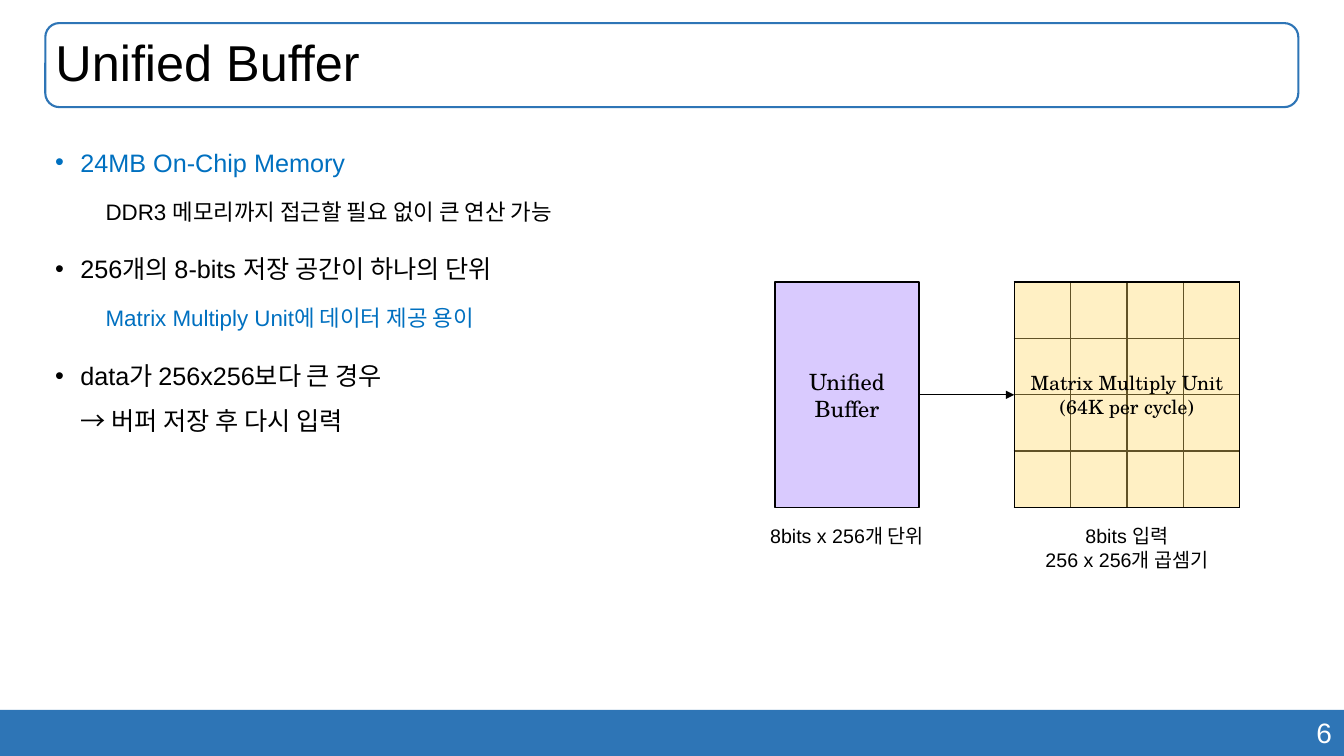
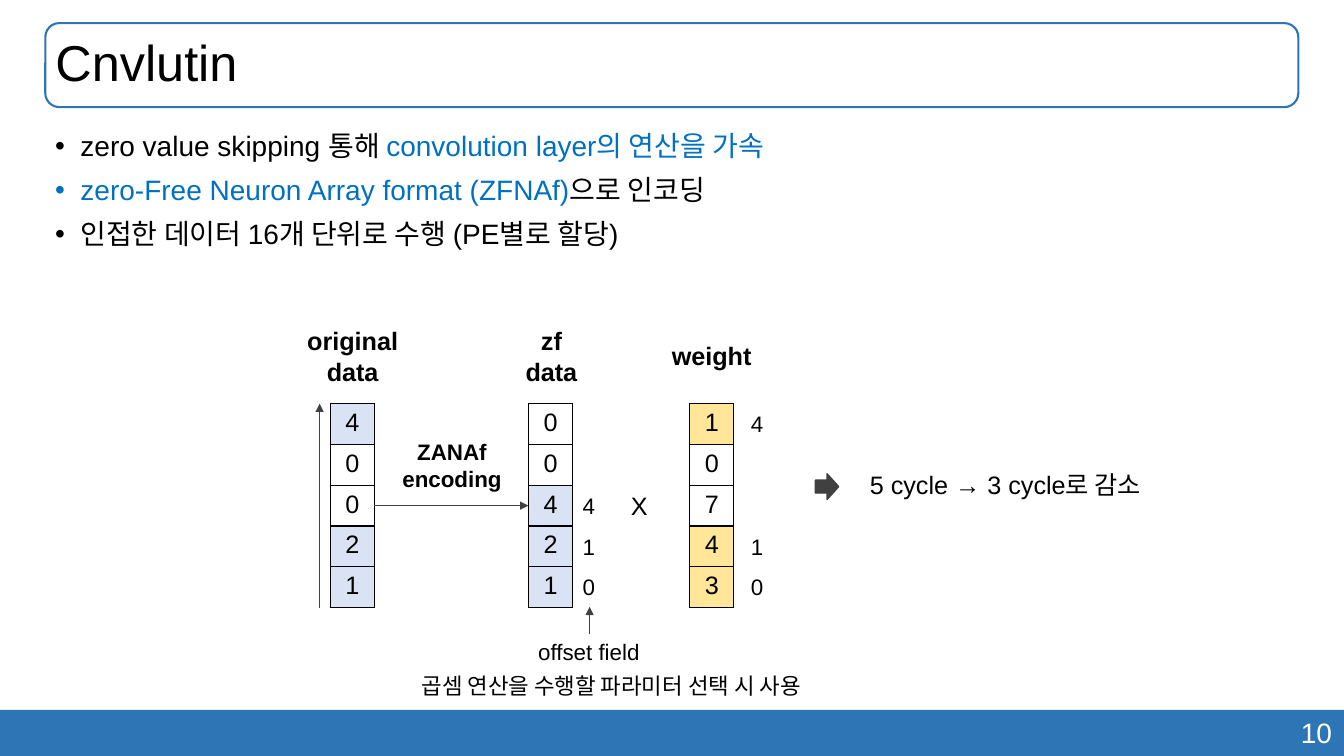
import pptx
import pptx.dml.color
import pptx.enum.shapes
import pptx.enum.text
import pptx.oxml.ns
import pptx.util
import lxml.etree

Pt = pptx.util.Pt
SHAPE = pptx.enum.shapes.MSO_SHAPE
ALIGN = pptx.enum.text.PP_ALIGN
ANCHOR = pptx.enum.text.MSO_ANCHOR
FIT = pptx.enum.text.MSO_AUTO_SIZE

BLUE, ACCENT, INK, WHITE, GRAY = "2E75B6", "0070C0", "000000", "FFFFFF", "404040"
LILAC, GOLD, PALE_BLUE, PALE_GOLD = "D9CAFE", "FFD966", "DAE3F3", "FFE699"
SANS, SERIF = "Arial", "TeX Gyre Schola"


def rgb(value):
    """Turn a hex string into a colour."""
    return pptx.dml.color.RGBColor.from_string(value)


def assign(target, values):
    """Set attributes from a dict."""
    for name, value in values.items():
        setattr(target, name, value)


def child(parent, tag, **attrs):
    """Append a DrawingML element."""
    return lxml.etree.SubElement(parent, pptx.oxml.ns.qn("a:" + tag), attrs)


class Deck:
    """Hold the style and the current slide."""

    def __init__(self):
        """Start a widescreen presentation."""
        self.prs = pptx.Presentation()
        assign(self.prs, {"slide_width": Pt(960), "slide_height": Pt(540)})
        self.s = None

    def slide(self, title, number):
        """Add a slide with its title, frame, band and number."""
        self.s = self.prs.slides.add_slide(self.prs.slide_layouts[5])
        self.shape(SHAPE.RECTANGLE, 0, 507, 960, 33, fill=BLUE)
        self.text(677.5, 507.5, 281, 32, number, 20, ALIGN.RIGHT, color=WHITE, wrap=True)
        frame = (32.4, 16.5, 895, 60)
        self.shape(SHAPE.ROUNDED_RECTANGLE, *frame, line=BLUE, weight=1.5)
        sp = self.s.shapes.title
        assign(sp, dict(zip(("left", "top", "width", "height"), map(Pt, frame))))
        assign(sp.text_frame, {"auto_size": FIT.NONE, "vertical_anchor": ANCHOR.MIDDLE})
        self.lines(sp.text_frame, title, 36, ALIGN.LEFT)
        sp.text_frame.paragraphs[0].line_spacing = 0.9

    def font(self, r, size, color=INK, bold=False, name=SANS):
        """Format one run."""
        assign(r.font, {"size": Pt(size), "bold": bold, "name": name})
        r.font.color.rgb = rgb(color)

    def lines(self, tf, text, size, align=ALIGN.CENTER, **style):
        """Fill a frame with one paragraph for each line of text."""
        for i, line in enumerate(text.split("\n")):
            p = tf.add_paragraph() if i else tf.paragraphs[0]
            p.alignment = align
            r = p.add_run()
            r.text = line
            self.font(r, size, **style)

    def text(self, x, y, w, h, text, size, align=ALIGN.LEFT, wrap=False, **style):
        """Add a text box."""
        tf = self.s.shapes.add_textbox(Pt(x), Pt(y), Pt(w), Pt(h)).text_frame
        assign(tf, {"word_wrap": wrap, "auto_size": FIT.SHAPE_TO_FIT_TEXT})
        self.lines(tf, text, size, align, **style)

    def body(self, spacing, items):
        """Add the list of (level, size, runs); level 1 has no bullet."""
        tf = self.s.shapes.add_textbox(Pt(32.4), Pt(90.7), Pt(895), Pt(398)).text_frame
        tf.word_wrap = True
        for i, (level, size, runs) in enumerate(items):
            p = tf.add_paragraph() if i else tf.paragraphs[0]
            before = (5 if level else 10) if i else 0
            assign(p, {"level": level, "line_spacing": spacing, "space_before": Pt(before)})
            pPr = p._p.get_or_add_pPr()
            pPr.set("marL", str(Pt(36 if level else 18)))
            pPr.set("indent", str(Pt(0 if level else -18)))
            if level:
                child(pPr, "buNone")
            else:
                child(pPr, "buFont", typeface=SANS)
                child(pPr, "buChar", char="•")
            for text, color in runs:
                for j, part in enumerate(text.split("\n")):
                    if j:
                        p.add_line_break()
                    r = p.add_run()
                    r.text = part
                    self.font(r, size, color)

    def shape(self, kind, x, y, w, h, fill=None, line=None, weight=1, alpha=None):
        """Add a preset shape."""
        sp = self.s.shapes.add_shape(kind, Pt(x), Pt(y), Pt(w), Pt(h))
        sp.shadow.inherit = False
        if fill:
            sp.fill.solid()
            sp.fill.fore_color.rgb = rgb(fill)
        else:
            sp.fill.background()
        if alpha:
            clr = sp._element.spPr.find(".//" + pptx.oxml.ns.qn("a:srgbClr"))
            child(clr, "alpha", val=str(alpha * 1000))
        if line:
            sp.line.color.rgb = rgb(line)
            sp.line.width = Pt(weight)
        else:
            sp.line.fill.background()
        return sp

    def box(self, x, y, w, h, text, size, **look):
        """Add an outlined rectangle with a serif label."""
        sp = self.shape(SHAPE.RECTANGLE, x, y, w, h, line=INK, **look)
        assign(sp.text_frame, {"vertical_anchor": ANCHOR.MIDDLE, "word_wrap": True})
        self.lines(sp.text_frame, text, size, name=SERIF)
        return sp

    def arrow(self, x1, y1, x2, y2, color=GRAY):
        """Add a thin line with an arrowhead at its end."""
        ends = map(Pt, (x1, y1, x2, y2))
        c = self.s.shapes.add_connector(pptx.enum.shapes.MSO_CONNECTOR.STRAIGHT, *ends)
        c.line.color.rgb = rgb(color)
        c.line.width = Pt(0.5)
        spPr = c._element.spPr
        child(spPr.find(pptx.oxml.ns.qn("a:ln")), "tailEnd", type="triangle")
        child(spPr, "effectLst")
        return c

    def table(self, x, y, cell_w, cell_h, rows, fill=None, filled=()):
        """Add a bordered grid and fill the listed rows."""
        size = (len(rows), len(rows[0]))
        area = map(Pt, (x, y, cell_w * size[1], cell_h * size[0]))
        t = self.s.shapes.add_table(*size, *area).table
        assign(t, {"first_row": False, "horz_banding": False})
        for i, row in enumerate(rows):
            for j, text in enumerate(row):
                cell = t.cell(i, j)
                tcPr = cell._tc.get_or_add_tcPr()
                for side in ("lnL", "lnR", "lnT", "lnB"):
                    ln = child(tcPr, side, w=str(Pt(1)))
                    child(child(ln, "solidFill"), "srgbClr", val=INK)
                if i in filled:
                    cell.fill.solid()
                    cell.fill.fore_color.rgb = rgb(fill)
                else:
                    cell.fill.background()
                if text:
                    self.lines(cell.text_frame, text, 18)


def unified_buffer(d):
    """Build the buffer slide."""
    d.slide("Unified Buffer", "6")
    d.body(1.5, [
        (0, 18, [("24MB On-Chip Memory", ACCENT)]),
        (1, 16, [("DDR3 메모리까지 접근할 필요 없이 큰 연산 가능", INK)]),
        (0, 18, [("256개의 8-bits 저장 공간이 하나의 단위", INK)]),
        (1, 16, [("Matrix Multiply Unit에 데이터 제공 용이", ACCENT)]),
        (0, 18, [("data가 256x256보다 큰 경우\n→ 버퍼 저장 후 다시 입력", INK)]),
    ])
    top, side, left = 201.5, 161, 724.5
    buffer = d.box(553.5, top, 103, side, "Unified\nBuffer", 16, fill=LILAC)
    d.table(left, top, side / 4, side / 4, [[""] * 4] * 4)
    unit = d.box(left, top, side, side, "Matrix Multiply Unit\n(64K per cycle)", 14,
                 fill=GOLD, alpha=38)
    c = d.arrow(656.5, top + side / 2, left, top + side / 2, INK)
    c.begin_connect(buffer, 3)
    c.end_connect(unit, 1)
    d.text(538.5, 371, 133, 24.5, "8bits x 256개 단위", 14, ALIGN.CENTER)
    d.text(736.5, 371, 137, 41, "8bits 입력\n256 x 256개 곱셈기", 14, ALIGN.CENTER)


def cnvlutin(d):
    """Build the zero-skipping slide."""
    d.slide("Cnvlutin", "10")
    d.body(0.9, [
        (0, 20, [("zero value skipping 통해 ", INK), ("convolution layer의 연산을 가속", ACCENT)]),
        (0, 20, [("zero-Free Neuron Array format (ZFNAf)", ACCENT), ("으로 인코딩", INK)]),
        (0, 20, [("인접한 데이터 16개 단위로 수행 (PE별로 할당)", INK)]),
    ])
    top, w, h = 288.3, 31.5, 29.15
    data_x, zf_x, weight_x = 236, 377.5, 492.7
    for x, values, fill, filled in (
        (data_x, "40021", PALE_BLUE, (0, 3, 4)),
        (zf_x, "00421", PALE_BLUE, (2, 3, 4)),
        (weight_x, "10743", PALE_GOLD, (0, 3, 4)),
    ):
        d.table(x, top, w, h, [[v] for v in values], fill, filled)
    for x, rows in ((409, (2, 3, 4)), (529.2, (0, 3, 4))):
        for row, offset in zip(rows, "410"):
            d.text(x, top + row * h + 1.3, 24, 26.6, offset, 16)
    middle = top + 2.5 * h
    d.arrow(data_x + w, middle, zf_x, middle)
    d.arrow(228.3, top + 5 * h, 228.3, top)
    d.arrow(421.2, 452.9, 421.2, 433.5)
    for x, y, bw, bh, label, size in (
        (280, 309.6, 85.7, 46, "ZANAf\nencoding", 16),
        (471.6, 239.8, 73.5, 29, "weight", 18),
        (211.6, 229, 80.6, 51, "original\ndata", 18),
        (367.6, 229, 52.6, 51, "zf\ndata", 18),
    ):
        d.text(x, y, bw, bh, label, size, ALIGN.CENTER, bold=True)
    d.text(377.3, 452.2, 92.9, 26.6, "offset field", 16)
    d.text(275, 476.6, 323.3, 26.6, "곱셈 연산을 수행할 파라미터 선택 시 사용", 16, ALIGN.CENTER)
    d.text(443.5, 346.5, 25.2, 29, "X", 18)
    d.shape(SHAPE.RIGHT_ARROW, 582.5, 338.4, 16.6, 18.4, fill=GRAY, line=GRAY)
    d.text(614.2, 332, 219.6, 29, "5 cycle → 3 cycle로 감소", 18)


def main():
    """Build and save the slides."""
    d = Deck()
    unified_buffer(d)
    cnvlutin(d)
    d.prs.save("out.pptx")


if __name__ == "__main__":
    main()
